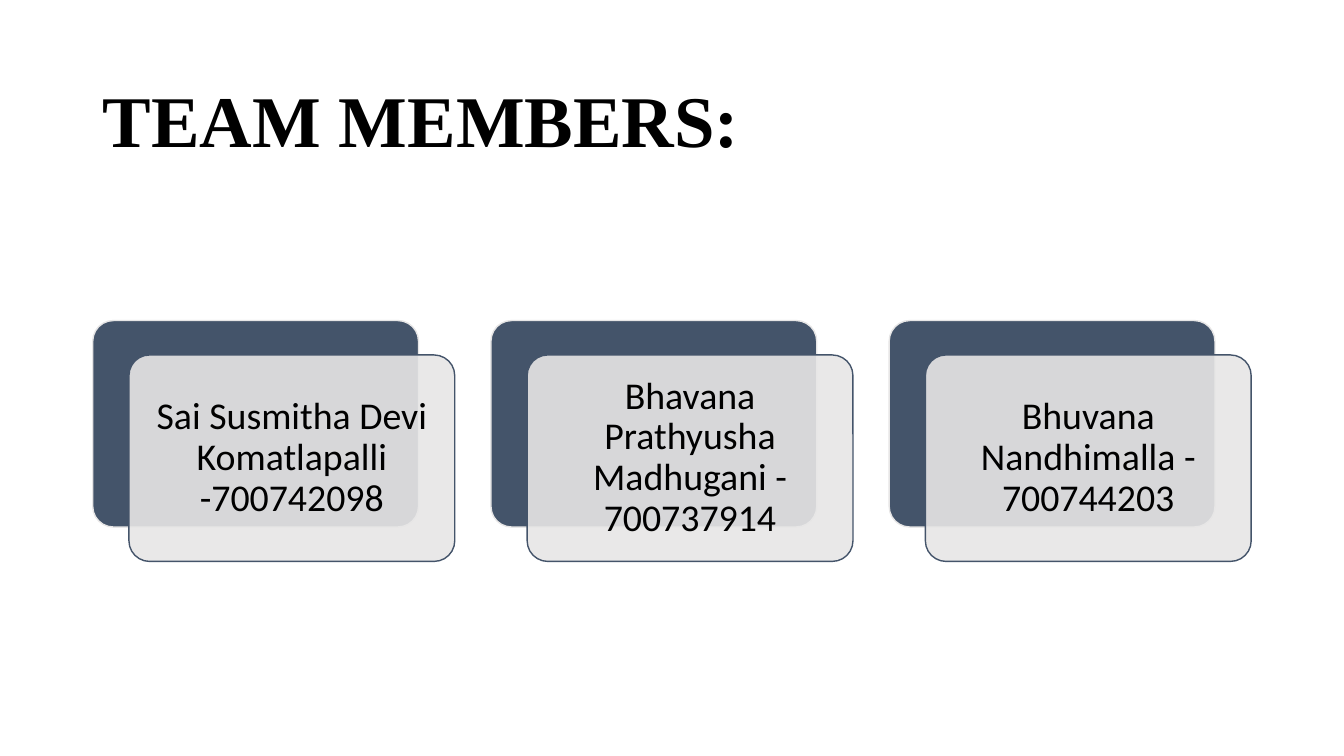
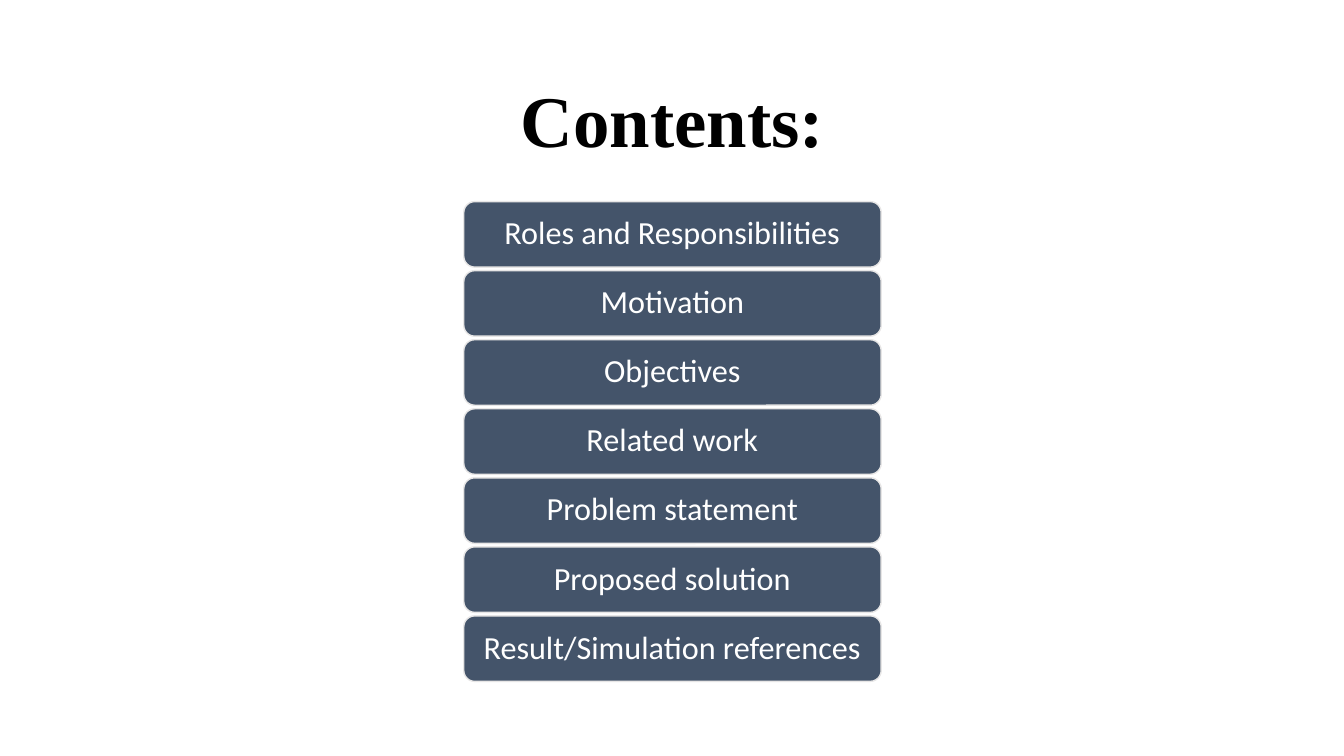
from pptx import Presentation
from pptx.dml.color import RGBColor
from pptx.enum.shapes import MSO_SHAPE as SHAPE
from pptx.enum.text import MSO_ANCHOR as ANCHOR, PP_ALIGN as ALIGN
from pptx.oxml.ns import qn
from pptx.util import Inches, Pt
from lxml import etree

COLORS = {"slate": "44546A", "mist": "E7E6E6", "ink": "000000", "white": "FFFFFF"}
HEAD_FONT, BODY_FONT = "Times New Roman", "Calibri"
W, H = 13.33, 7.5

# Regions as left, top, width, height in inches
TITLE_BOX = (0.92, 0.61, 11.5, 1.24)
CARDS_BOX = (0.92, 3.18, 11.49, 2.39)
BARS_BOX = (4.6, 2, 4.14, 4.76)

MEMBERS = [
    "Sai Susmitha Devi Komatlapalli -700742098",
    "Bhavana Prathyusha Madhugani - 700737914",
    "Bhuvana Nandhimalla - 700744203",
]
TOPICS = [
    "Roles and Responsibilities", "Motivation", "Objectives", "Related work",
    "Problem statement", "Proposed solution", "Result/Simulation references",
]


def rgb(name):
    return RGBColor.from_string(COLORS[name])


def emu(box):
    return [Inches(v) for v in box]


def write(sp, text, size, color, font=BODY_FONT, bold=False,
          align=ALIGN.CENTER, insets=(0.1, 0.05)):
    """Put one vertically centred paragraph into a shape."""
    tf = sp.text_frame
    tf.word_wrap = True
    tf.vertical_anchor = ANCHOR.MIDDLE
    tf.margin_left = tf.margin_right = Inches(insets[0])
    tf.margin_top = tf.margin_bottom = Inches(insets[1])
    p = tf.paragraphs[0]
    p.alignment = align
    p.line_spacing = 0.9
    r = p.add_run()
    r.text = text
    r.font.name, r.font.size, r.font.bold = font, Pt(size), bold
    r.font.color.rgb = rgb(color)


def add_panel(slide, box, fill, line, radius=0.1667, opacity=100):
    """Rounded rectangle with a thin outline."""
    sp = slide.shapes.add_shape(SHAPE.ROUNDED_RECTANGLE, *emu(box))
    sp.shadow.inherit = False
    sp.adjustments[0] = radius
    sp.fill.solid()
    sp.fill.fore_color.rgb = rgb(fill)
    sp.line.color.rgb = rgb(line)
    sp.line.width = Pt(1)
    if opacity < 100:
        clr = sp.fill._xPr.find(qn("a:solidFill"))[0]
        etree.SubElement(clr, qn("a:alpha")).set("val", str(opacity * 1000))
    return sp


def add_title(slide, text, align):
    sp = slide.shapes.add_textbox(*emu(TITLE_BOX))
    write(sp, text, 52, "ink", HEAD_FONT, True, align)


def add_cards(slide, box, names):
    """Row of cards, each a front panel stepped off a dark back panel."""
    x, y, w, h = box
    n = len(names)
    step = w / (11 * n - 1)  # a card is ten steps wide, a gap is one
    drop = h / 7
    for i, name in enumerate(names):
        left = x + 11 * step * i
        size = (9 * step, h - drop)
        add_panel(slide, (left, y, *size), "slate", "mist", 0.1)
        front = add_panel(slide, (left + step, y + drop, *size),
                          "mist", "slate", 0.1, opacity=90)
        write(front, name, 27, "ink", insets=(0.11, 0.11))


def add_bars(slide, box, topics):
    """Stack of equal bars filling the box."""
    x, y, w, h = box
    gap = 0.035
    pitch = (h + gap) / len(topics)
    for i, topic in enumerate(topics):
        bar = add_panel(slide, (x, y + i * pitch, w, pitch - gap), "slate", "mist")
        write(bar, topic, 23, "white")


def main():
    prs = Presentation()
    prs.slide_width, prs.slide_height = Inches(W), Inches(H)
    blank = prs.slide_layouts[6]

    # Team members
    s = prs.slides.add_slide(blank)
    add_title(s, "TEAM MEMBERS:", ALIGN.LEFT)
    add_cards(s, CARDS_BOX, MEMBERS)

    # Contents
    s = prs.slides.add_slide(blank)
    add_title(s, "Contents:", ALIGN.CENTER)
    add_bars(s, BARS_BOX, TOPICS)

    prs.save("out.pptx")


if __name__ == "__main__":
    main()
